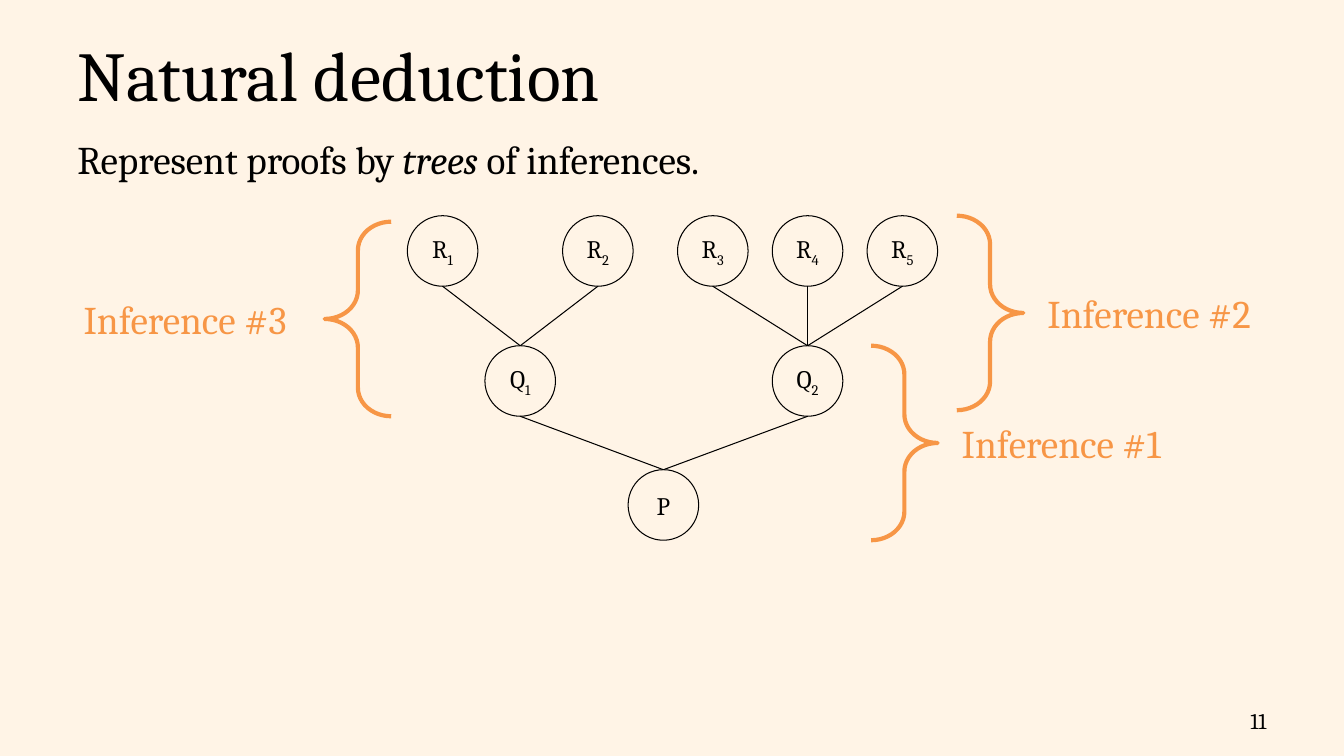
"""Build the slide on natural deduction as a tree of inferences."""
from lxml import etree
from pptx import Presentation
from pptx.dml.color import RGBColor
from pptx.enum.shapes import MSO_CONNECTOR, MSO_SHAPE
from pptx.enum.text import MSO_ANCHOR, PP_ALIGN
from pptx.oxml.ns import qn
from pptx.util import Inches, Pt

LINE, CIRCLE = MSO_CONNECTOR.STRAIGHT, MSO_SHAPE.OVAL
RIGHT_BRACE, LEFT_BRACE = MSO_SHAPE.RIGHT_BRACE, MSO_SHAPE.LEFT_BRACE
TOP, MIDDLE = MSO_ANCHOR.TOP, MSO_ANCHOR.MIDDLE
LEFT, CENTER, RIGHT = PP_ALIGN.LEFT, PP_ALIGN.CENTER, PP_ALIGN.RIGHT

WIDTH, HEIGHT, MARGIN = 13.33, 7.5, 0.67
FONT, PAPER, INK, ORANGE = "Cambria", "FFF4E6", "000000", "F79646"

TITLE = "Natural deduction"
BODY = [("Represent proofs by ", False), ("trees ", True), ("of inferences.", False)]
PAGE = "11"

ROWS = [2.14, 3.43, 4.66]
DIAMETER = 0.7
NODES = {
    "P": (6.58, 2),
    "Q1": (5.16, 1), "Q2": (8.01, 1),
    "R1": (4.39, 0), "R2": (5.93, 0),
    "R3": (7.07, 0), "R4": (8.01, 0), "R5": (8.95, 0),
}
PREMISES = {"P": ["Q1", "Q2"], "Q1": ["R1", "R2"], "Q2": ["R3", "R4", "R5"]}

BRACE_W, BRACE_H, BRACE_CURVE = 0.66, 1.93, 0.43
LABEL_W, LABEL_H = 2.42, 0.57
INFERENCES = [
    ("Inference #1", RIGHT_BRACE, 8.64, ROWS[1], BRACE_W + 0.14),
    ("Inference #2", RIGHT_BRACE, 9.49, ROWS[0], BRACE_W + 0.14),
    ("Inference #3", LEFT_BRACE, 3.22, ROWS[0] + 0.06, -LABEL_W - 0.07),
]


def color(value):
    return RGBColor.from_string(value)


def write(sp, runs, size, hue=INK, align=LEFT, anchor=TOP):
    tf = sp.text_frame
    tf.word_wrap = True
    tf.vertical_anchor = anchor
    p = tf.paragraphs[0]
    p.alignment = align
    p.font.name, p.font.size = FONT, Pt(size)
    p.font.color.rgb = color(hue)
    for text, italic in runs:
        r = p.add_run()
        r.text = text
        if italic:
            r.font.italic = True
    return p


def add_text(s, box, runs, size, **style):
    write(s.shapes.add_textbox(*map(Inches, box)), runs, size, **style)


def add_outline(s, kind, box, hue, weight):
    sp = s.shapes.add_shape(kind, *map(Inches, box))
    sp.shadow.inherit = False
    sp.fill.background()
    sp.line.color.rgb = color(hue)
    sp.line.width = Pt(weight)
    return sp


def add_node(s, name):
    x, row = NODES[name]
    box = (x - DIAMETER / 2, ROWS[row], DIAMETER, DIAMETER)
    sp = add_outline(s, CIRCLE, box, INK, 0.75)
    tf = sp.text_frame
    tf.margin_left = tf.margin_right = tf.margin_top = tf.margin_bottom = 0
    p = write(sp, [(part, False) for part in name], 18, align=CENTER, anchor=MIDDLE)
    for r in p.runs[1:]:
        r.font._element.set("baseline", "-25000")
    return sp


def add_edge(s, premise, conclusion):
    start = premise.left + premise.width // 2, premise.top + premise.height
    end = conclusion.left + conclusion.width // 2, conclusion.top
    line = s.shapes.add_connector(LINE, *start, *end)
    line.end_connect(conclusion, 0)
    line.line.color.rgb = color(INK)
    line.line.width = Pt(0.75)
    etree.SubElement(line._element.spPr, qn("a:effectLst"))


def add_inference(s, label, kind, x, y, offset):
    sp = add_outline(s, kind, (x, y, BRACE_W, BRACE_H), ORANGE, 3)
    sp.adjustments[0] = BRACE_CURVE
    box = (x + offset, y + (BRACE_H - LABEL_H) / 2, LABEL_W, LABEL_H)
    add_text(s, box, [(label, False)], 28, hue=ORANGE)


def main():
    prs = Presentation()
    prs.slide_width, prs.slide_height = Inches(WIDTH), Inches(HEIGHT)
    s = prs.slides.add_slide(prs.slide_layouts[6])
    s.background.fill.solid()
    s.background.fill.fore_color.rgb = color(PAPER)

    full = WIDTH - 2 * MARGIN
    add_text(s, (MARGIN, 0.29, full, 0.87), [(TITLE, False)], 50, anchor=MIDDLE)
    add_text(s, (MARGIN, 1.29, full, 5.4), BODY, 28)
    add_text(s, (9.55, 6.95, 3.11, 0.4), [(PAGE, False)], 16, align=RIGHT, anchor=MIDDLE)

    nodes = {name: add_node(s, name) for name in NODES}
    for conclusion, premises in PREMISES.items():
        for premise in premises:
            add_edge(s, nodes[premise], nodes[conclusion])
    for inference in INFERENCES:
        add_inference(s, *inference)
    prs.save("out.pptx")


if __name__ == "__main__":
    main()
